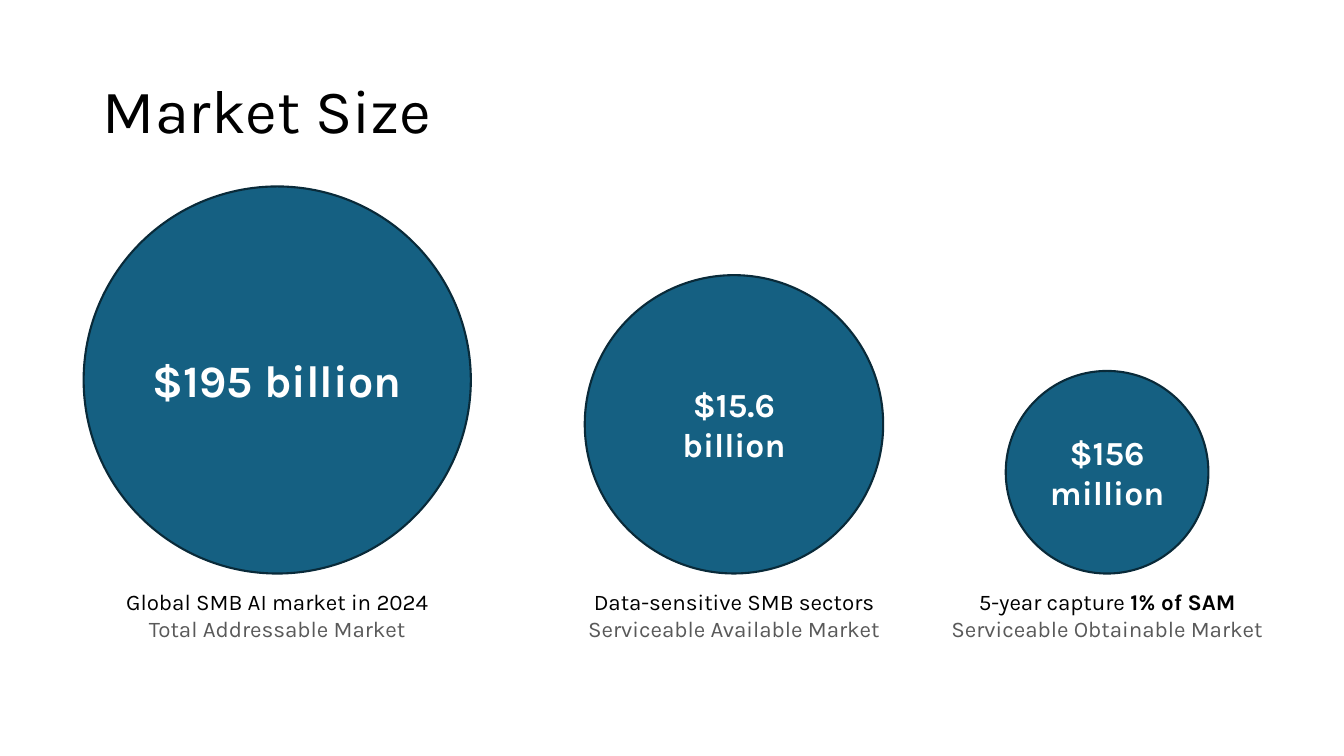
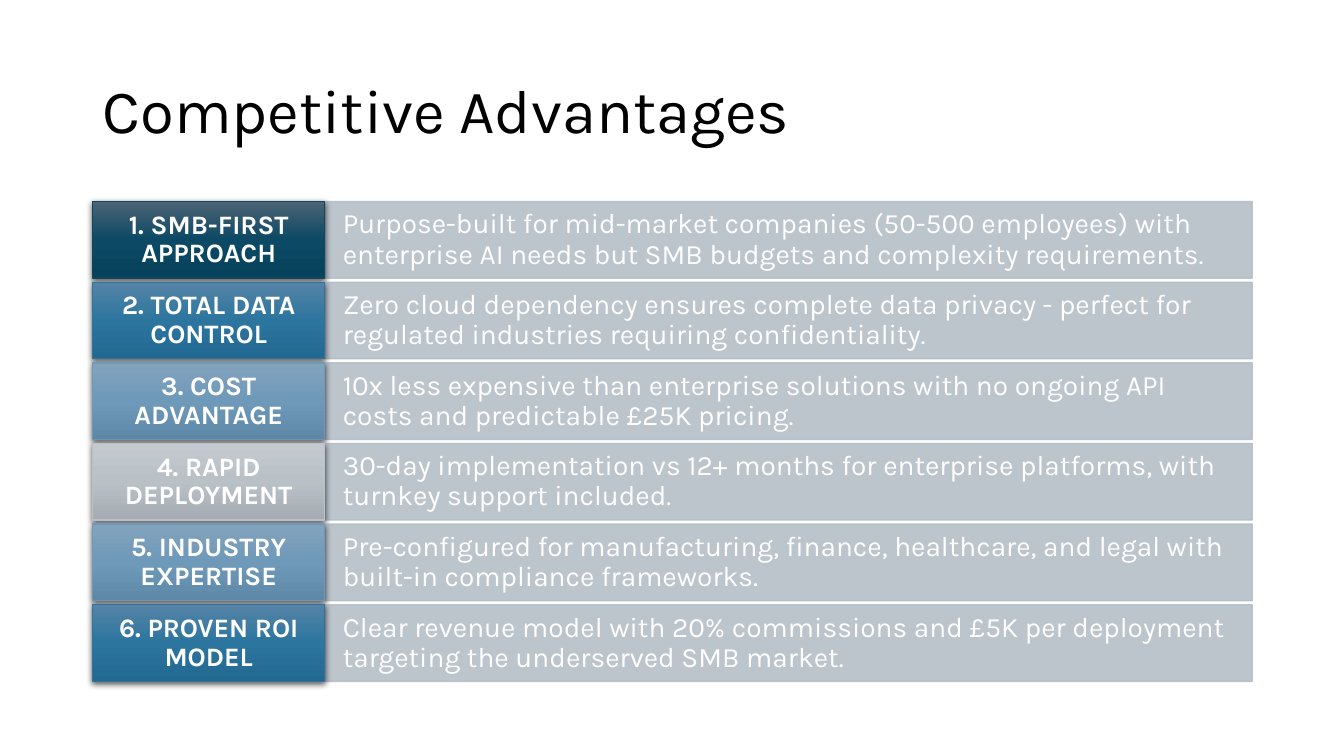
from lxml.etree import SubElement
from pptx import Presentation
from pptx.dml.color import RGBColor
from pptx.enum.shapes import MSO_SHAPE
from pptx.enum.text import MSO_ANCHOR, PP_ALIGN
from pptx.oxml.ns import qn
from pptx.util import Inches, Pt

FONT = "Karla"
BLACK = RGBColor(0x00, 0x00, 0x00)
WHITE = RGBColor(0xFF, 0xFF, 0xFF)
GRAY = RGBColor(0x59, 0x59, 0x59)
TEAL = RGBColor(0x15, 0x60, 0x82)
INK = RGBColor(0x09, 0x2A, 0x39)
SILVER = RGBColor(0xB5, 0xBE, 0xC7)

# Label styles: line colour, then gradient from top to bottom
NAVY = ("104760", "4C6375", "0C4964", "07425D")
BLUE = ("31739A", "5584A6", "2C759F", "226992")
SKY = ("7198B4", "83A3BD", "6E99B8", "5E88A7")
MIST = ("BAC1C7", "C3C9CE", "B9C1C7", "A4ABB2")

# Centre, diameter, amount, size; caption width, plain, bold and gray text
MARKETS = [
    (2.75, 3.84, "$195 billion", 32,
     3.62, "Global SMB AI market in 2024", "", "Total Addressable Market"),
    (7.28, 2.96, "$15.6 billion", 24,
     3.09, "Data-sensitive SMB sectors", "", "Serviceable Available Market"),
    (10.98, 2.01, "$156 million", 24,
     3.32, "5-year capture ", "1% of SAM", "Serviceable Obtainable Market"),
]

POINTS = [
    (NAVY, "1. SMB-FIRST APPROACH",
     "Purpose-built for mid-market companies (50-500 employees) with "
     "enterprise AI needs but SMB budgets and complexity requirements."),
    (BLUE, "2. TOTAL DATA CONTROL",
     "Zero cloud dependency ensures complete data privacy - perfect for "
     "regulated industries requiring confidentiality."),
    (SKY, "3. COST ADVANTAGE",
     "10x less expensive than enterprise solutions with no ongoing API "
     "costs and predictable £25K pricing."),
    (MIST, "4. RAPID DEPLOYMENT",
     "30-day implementation vs 12+ months for enterprise platforms, with "
     "turnkey support included."),
    (SKY, "5. INDUSTRY EXPERTISE",
     "Pre-configured for manufacturing, finance, healthcare, and legal with "
     "built-in compliance frameworks."),
    (BLUE, "6. PROVEN ROI MODEL",
     "Clear revenue model with 20% commissions and £5K per deployment "
     "targeting the underserved SMB market."),
]


def style(para, size, color, bold=False, align=PP_ALIGN.LEFT, space=1.0):
    font = para.font
    font.name, font.size, font.bold = FONT, Pt(size), bold
    font.color.rgb = color
    para.alignment, para.line_spacing = align, space


def add_slide(deck, title):
    slide = deck.slides.add_slide(deck.slide_layouts[5])
    head = slide.shapes.title
    head.left, head.top = Inches(0.92), Inches(0.4)
    head.width, head.height = Inches(11.5), Inches(1.45)
    head.text_frame.text = title
    head.text_frame.vertical_anchor = MSO_ANCHOR.MIDDLE
    style(head.text_frame.paragraphs[0], 44, BLACK, space=0.9)
    return slide


def add_box(slide, kind, box, text, fill, line, width, pad=0.1):
    shape = slide.shapes.add_shape(kind, *map(Inches, box))
    shape.shadow.inherit = False
    shape.fill.solid()
    shape.fill.fore_color.rgb = fill
    shape.line.color.rgb = line
    shape.line.width = Pt(width)
    frame = shape.text_frame
    frame.word_wrap = True
    frame.vertical_anchor = MSO_ANCHOR.MIDDLE
    frame.margin_left = frame.margin_right = Inches(pad)
    frame.text = text
    return shape, frame.paragraphs[0]


def add_market(slide, base, mid, size, amount, points, wide, plain, bold, note):
    # Circle standing on the base line
    box = (mid - size / 2, base - size, size, size)
    _, para = add_box(slide, MSO_SHAPE.OVAL, box, amount, TEAL, INK, 1.5)
    style(para, points, WHITE, True, PP_ALIGN.CENTER)

    # Caption under the circle
    area = (mid - wide / 2, base + 0.1, wide, 0.64)
    frame = slide.shapes.add_textbox(*map(Inches, area)).text_frame
    frame.word_wrap = True
    para = frame.paragraphs[0]
    style(para, 16, BLACK, align=PP_ALIGN.CENTER)
    para.add_run().text = plain
    if bold:
        run = para.add_run()
        run.text, run.font.bold = bold, True
    para.add_line_break()
    run = para.add_run()
    run.text, run.font.color.rgb = note, GRAY


def set_alpha(node, percent):
    for color in node.iter(qn("a:srgbClr")):
        SubElement(color, qn("a:alpha"), val=str(percent * 1000))


def add_glow(shape, shades):
    # Vertical three-stop gradient
    shape.fill.gradient()
    shape.fill.gradient_angle = 270
    props = shape._element.spPr
    stops = props.find(qn("a:gradFill")).find(qn("a:gsLst"))
    for stop in list(stops):
        stops.remove(stop)
    for i, shade in enumerate(shades):
        stop = SubElement(stops, qn("a:gs"), pos=str(i * 50000))
        SubElement(stop, qn("a:srgbClr"), val=shade)

    # Soft shadow below
    cast = SubElement(props.find(qn("a:effectLst")), qn("a:outerShdw"),
                      blurRad=str(Pt(4.5)), dist=str(Pt(1.5)),
                      dir="5400000", algn="ctr", rotWithShape="0")
    SubElement(cast, qn("a:srgbClr"), val="000000")
    set_alpha(cast, 63)


def add_point(slide, left, top, width, height, look, label, text):
    side = 2.3
    # Description bar
    box = (left + side, top, width - side, height)
    bar, para = add_box(slide, MSO_SHAPE.RECTANGLE, box, text,
                        SILVER, SILVER, 1, 0.18)
    set_alpha(bar._element.spPr, 90)
    style(para, 20, WHITE, space=0.9)

    # Label
    edge, *shades = look
    tag, para = add_box(slide, MSO_SHAPE.RECTANGLE, (left, top, side, height),
                        label, SILVER, RGBColor.from_string(edge), 1, 0.12)
    add_glow(tag, shades)
    style(para, 19, WHITE, True, PP_ALIGN.CENTER, 0.9)


def main():
    deck = Presentation()
    deck.slide_width, deck.slide_height = Inches(13.33), Inches(7.5)

    slide = add_slide(deck, "Market Size")
    for market in MARKETS:
        add_market(slide, 5.69, *market)

    slide = add_slide(deck, "Competitive Advantages")
    for i, point in enumerate(POINTS):
        add_point(slide, 0.92, 2 + i * 0.8, 11.5, 0.76, *point)

    deck.save("out.pptx")


if __name__ == "__main__":
    main()
